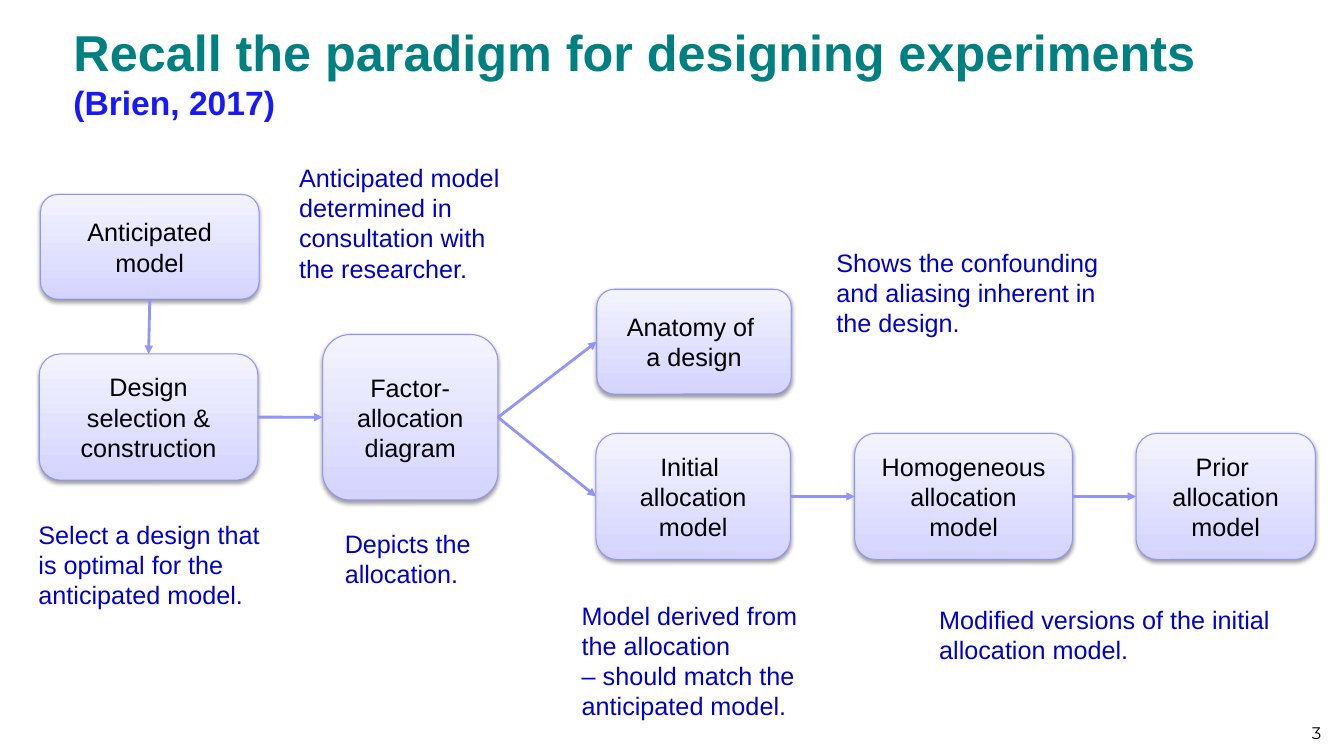
from lxml.etree import SubElement
from pptx import Presentation
from pptx.dml.color import RGBColor as Rgb
from pptx.enum.shapes import MSO_CONNECTOR as Link, MSO_SHAPE as Shape
from pptx.enum.text import MSO_ANCHOR as Anchor, PP_ALIGN as Align
from pptx.oxml.ns import qn
from pptx.util import Cm, Pt

COLOURS = {"title": "008080", "citation": "1818FF", "note": "0000CC", "text": "000000",
           "line": "9393FC", "box_bottom": "D4D4FF", "box_top": "F3F3FF", "shadow": "000000"}
TITLE = "Recall the paradigm for designing experiments \v(Brien, 2017)"
PAGE_NUMBER = "3"
LOW_ROW, TALL, SHORT = 10.92, 3.18, 2.64
STEPS = {
    "factor": ("Factor-allocation diagram", 8.13, 8.43, 4.42, 4.17),
    "anatomy": ("Anatomy of \na design", 15.04, 7.29, 4.9, SHORT),
    "initial": ("Initial \nallocation model", 15.02, LOW_ROW, 4.9, TALL),
    "homogeneous": ("Homogeneous allocation\nmodel", 21.54, LOW_ROW, 5.49, TALL),
    "prior": ("Prior \nallocation model", 28.63, LOW_ROW, 4.52, TALL),
    "anticipated": ("Anticipated\nmodel", 1.02, 4.9, 5.51, SHORT),
    "design": ("Design selection &\nconstruction", 0.99, 8.92, 5.51, TALL),
}
TOP, LEFT, BOTTOM, RIGHT = range(4)
ARROWS = [
    ("anticipated", BOTTOM, "design", TOP),
    ("design", RIGHT, "factor", LEFT),
    ("factor", RIGHT, "anatomy", LEFT),
    ("factor", RIGHT, "initial", LEFT),
    ("initial", RIGHT, "homogeneous", LEFT),
    ("homogeneous", RIGHT, "prior", LEFT),
]
NOTES = [
    ("Anticipated model determined in consultation with the researcher.", 7.21, 3.91, 6.25, 3.68),
    ("Select a design that is optimal for the anticipated model.", 0.64, 12.9, 6.3, 3),
    ("Depicts the allocation.", 8.36, 13.13, 3.96, 1.9),
    ("Shows the confounding and aliasing inherent in the design.", 20.75, 6.05, 7.8, 2.82),
    ("Model derived from the allocation \v– should match the anticipated model.",
     14.33, 14.94, 6.4, 3.48),
    ("Modified versions of the initial allocation model.", 23.34, 15.04, 9.19, 1.9),
]


def colour(name):
    return Rgb.from_string(COLOURS[name])


def style(span, size, name, font="Arial", bold=False):
    span.font.size, span.font.name, span.font.bold = Pt(size), font, bold
    span.font.color.rgb = colour(name)


def write(box, text, name, align=Align.LEFT, anchor=Anchor.TOP, margins=(0.33, 0.18), **font):
    frame = box.text_frame
    frame.word_wrap, frame.vertical_anchor = True, anchor
    frame.margin_left = frame.margin_right = Cm(margins[0])
    frame.margin_top = frame.margin_bottom = Cm(margins[1])
    frame.text = text
    for para in frame.paragraphs:
        para.alignment = align
        for span in para.runs:
            style(span, font.get("size", 18), name, font.get("font", "Arial"))
    return frame


def add_text(page, text, area, name, **options):
    box = page.shapes.add_textbox(*map(Cm, area))
    return write(box, text, name, **options)


def add_step(page, text, *area):
    box = page.shapes.add_shape(Shape.ROUNDED_RECTANGLE, *map(Cm, area))
    box.fill.gradient()
    box.fill.gradient_angle = 90
    for stop, name in zip(box.fill.gradient_stops, ("box_bottom", "box_top")):
        stop.color.rgb = colour(name)
    box.line.color.rgb, box.line.width = colour("line"), Pt(0.75)
    box.shadow.inherit = False
    effects = box.element.spPr.find(qn("a:effectLst"))
    shadow = SubElement(effects, qn("a:outerShdw"), blurRad=str(Pt(3.1)), dist=str(Pt(1.6)),
                        dir="5400000", rotWithShape="0")
    tint = SubElement(shadow, qn("a:srgbClr"), val=COLOURS["shadow"])
    SubElement(tint, qn("a:alpha"), val="38000")
    write(box, text, "text", Align.CENTER, Anchor.MIDDLE)
    return box


def add_arrow(page, start, start_side, end, end_side):
    arrow = page.shapes.add_connector(Link.STRAIGHT, 0, 0, 0, 0)
    arrow.begin_connect(start, start_side)
    arrow.end_connect(end, end_side)
    arrow.line.color.rgb, arrow.line.width = colour("line"), Pt(2)
    SubElement(arrow.get_or_add_ln(), qn("a:tailEnd"), type="triangle")
    SubElement(arrow.element.spPr, qn("a:effectLst"))


def main():
    """Build the slide on the paradigm for designing experiments."""
    deck = Presentation()
    deck.slide_width, deck.slide_height = Cm(33.87), Cm(19.05)
    page = deck.slides.add_slide(deck.slide_layouts[6])

    title = add_text(page, TITLE, (1.6, 0.58, 32, 2.44), "title",
                     anchor=Anchor.MIDDLE, margins=(0.25, 0.13))
    heading, citation = title.paragraphs[0].runs
    style(heading, 36, "title", bold=True)
    style(citation, 24, "citation", bold=True)
    add_text(page, PAGE_NUMBER, (25.65, 17.58, 7.9, 1.27), "text", align=Align.RIGHT,
             anchor=Anchor.BOTTOM, margins=(0.25, 0.13), size=12, font="Montserrat")

    boxes = {key: add_step(page, *step) for key, step in STEPS.items()}
    for start, start_side, end, end_side in ARROWS:
        add_arrow(page, boxes[start], start_side, boxes[end], end_side)
    for text, *area in NOTES:
        add_text(page, text, area, "note")
    deck.save("out.pptx")


if __name__ == "__main__":
    main()
